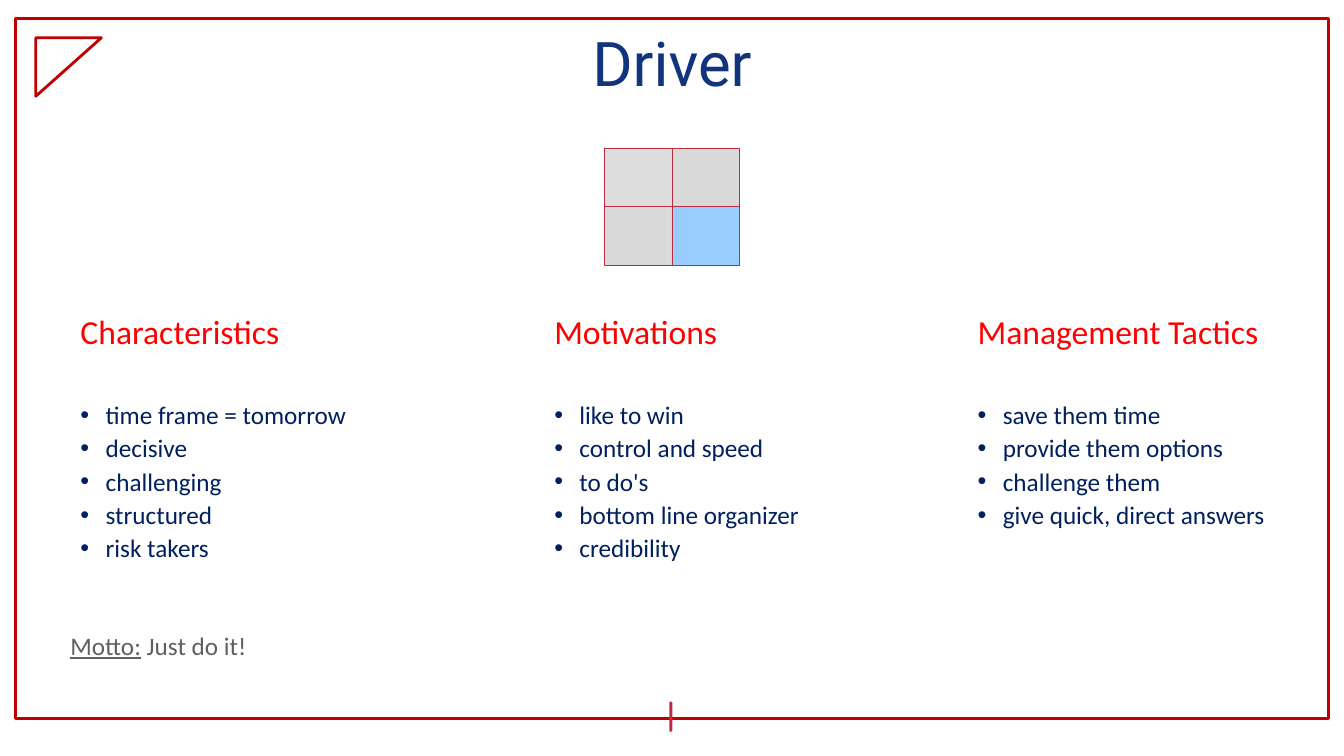
from lxml import etree
from pptx import Presentation
from pptx import util as u
from pptx.dml.color import RGBColor
from pptx.enum import shapes, text
from pptx.oxml import ns

SLIDE_W, SLIDE_H = u.Inches(13.33), u.Inches(7.5)

FRAME_RED = RGBColor(0xC0, 0x00, 0x00)
CRIMSON = RGBColor(0xBB, 0x2C, 0x3F)
HEADING_RED = RGBColor(0xFF, 0x00, 0x00)
TITLE_BLUE = RGBColor(0x11, 0x34, 0x7D)
BULLET_NAVY = RGBColor(0x00, 0x20, 0x60)
MOTTO_GREY = RGBColor(0x5F, 0x5F, 0x5F)
GREY = RGBColor(0xD9, 0xD9, 0xD9)
LIGHT_GREY = RGBColor(0xDD, 0xDD, 0xDD)
SKY = RGBColor(0x99, 0xCC, 0xFF)

# Boxes are (left, top, width, height) in percent of the slide.
CELL_W, CELL_H = 5, 7.75
MATRIX_LEFT, MATRIX_TOP = 50 - CELL_W, 19.6
MATRIX = [[LIGHT_GREY, GREY], [GREY, SKY]]

PANELS = [
    ((5.25, 40, 23.8, 39.5), "Characteristics",
     ["time frame = tomorrow", "decisive", "challenging", "structured",
      "risk takers"]),
    ((40.5, 40, 25, 35.2), "Motivations",
     ["like to win", "control and speed", "to do's",
      "bottom line organizer", "credibility"]),
    ((72, 40, 24.8, 35.5), "Management Tactics",
     ["save them time", "provide them options", "challenge them",
      "give quick, direct answers"]),
]


def place(box):
    left, top, width, height = box
    return (round(SLIDE_W * left / 100), round(SLIDE_H * top / 100),
            round(SLIDE_W * width / 100), round(SLIDE_H * height / 100))


def add_run(paragraph, words, size, color, font="Calibri", underline=None):
    run = paragraph.add_run()
    run.text = words
    run.font.name = font
    run.font.size = u.Pt(size)
    run.font.color.rgb = color
    run.font.underline = underline


def add_figure(slide, kind, box, fill=None, line=None, weight=2):
    figure = slide.shapes.add_shape(kind, *place(box))
    figure.shadow.inherit = False
    if fill is None:
        figure.fill.background()
    else:
        figure.fill.solid()
        figure.fill.fore_color.rgb = fill
    if line is None:
        figure.line.fill.background()
    else:
        figure.line.color.rgb = line
        figure.line.width = u.Pt(weight)
    return figure


def add_frame(slide):
    """Red border with its corner triangle and bottom tick."""
    kinds = shapes.MSO_SHAPE
    add_figure(slide, kinds.RECTANGLE, (1.13, 2.4, 97.75, 92.67), line=FRAME_RED)
    corner = add_figure(slide, kinds.RIGHT_TRIANGLE, (2.93, 4.53, 4.35, 8.67),
                        line=FRAME_RED)
    corner.rotation = 90
    tick = add_figure(slide, kinds.ROUND_2_DIAG_RECTANGLE,
                      (49.8, 92.8, 0.23, 4), fill=CRIMSON)
    tick.adjustments[0] = tick.adjustments[1] = 0.5


def set_title(slide, words):
    title = slide.shapes.title
    title.left, title.top, title.width, title.height = place(
        (1.2, 2.53, 97.6, 10.67))
    frame = title.text_frame
    frame.vertical_anchor = text.MSO_ANCHOR.BOTTOM
    frame.margin_left = frame.margin_right = u.Inches(0.05)
    frame.margin_top = frame.margin_bottom = 0
    heading = frame.paragraphs[0]
    heading.alignment = text.PP_ALIGN.CENTER
    heading.line_spacing = 0.9
    add_run(heading, words, 44, TITLE_BLUE, "Roboto")


def add_matrix(slide):
    """Two-by-two grid with the driver quadrant highlighted."""
    for row, fills in enumerate(MATRIX):
        for col, fill in enumerate(fills):
            box = (MATRIX_LEFT + col * CELL_W, MATRIX_TOP + row * CELL_H,
                   CELL_W, CELL_H)
            add_figure(slide, shapes.MSO_SHAPE.RECTANGLE, box, fill, CRIMSON, 0.5)


def make_bullet(paragraph):
    properties = paragraph._p.get_or_add_pPr()
    properties.set("marL", str(u.Inches(0.25)))
    properties.set("indent", str(-u.Inches(0.25)))
    etree.SubElement(properties, ns.qn("a:buFont"), typeface="Arial")
    etree.SubElement(properties, ns.qn("a:buChar"), char="•")


def add_panel(slide, box, heading, points):
    frame = slide.shapes.add_textbox(*place(box)).text_frame
    frame.word_wrap = True
    title_line = frame.paragraphs[0]
    title_line.line_spacing = 1.1
    add_run(title_line, heading, 24, HEADING_RED)
    for index, point in enumerate(points):
        item = frame.add_paragraph()
        make_bullet(item)
        item.line_spacing = 1.1
        if index == 0:
            item.space_before = u.Pt(32)
        add_run(item, point, 18, BULLET_NAVY)


def add_motto(slide, label, words):
    frame = slide.shapes.add_textbox(*place((4.5, 82.67, 15.23, 5.33))).text_frame
    frame.word_wrap = False
    motto = frame.paragraphs[0]
    add_run(motto, label, 18, MOTTO_GREY, underline=True)
    add_run(motto, words, 18, MOTTO_GREY)


def main():
    deck = Presentation()
    deck.slide_width, deck.slide_height = SLIDE_W, SLIDE_H
    slide = deck.slides.add_slide(deck.slide_layouts[5])
    add_frame(slide)
    set_title(slide, "Driver")
    add_matrix(slide)
    for box, heading, points in PANELS:
        add_panel(slide, box, heading, points)
    add_motto(slide, "Motto:", " Just do it!")
    deck.save("out.pptx")


if __name__ == "__main__":
    main()
